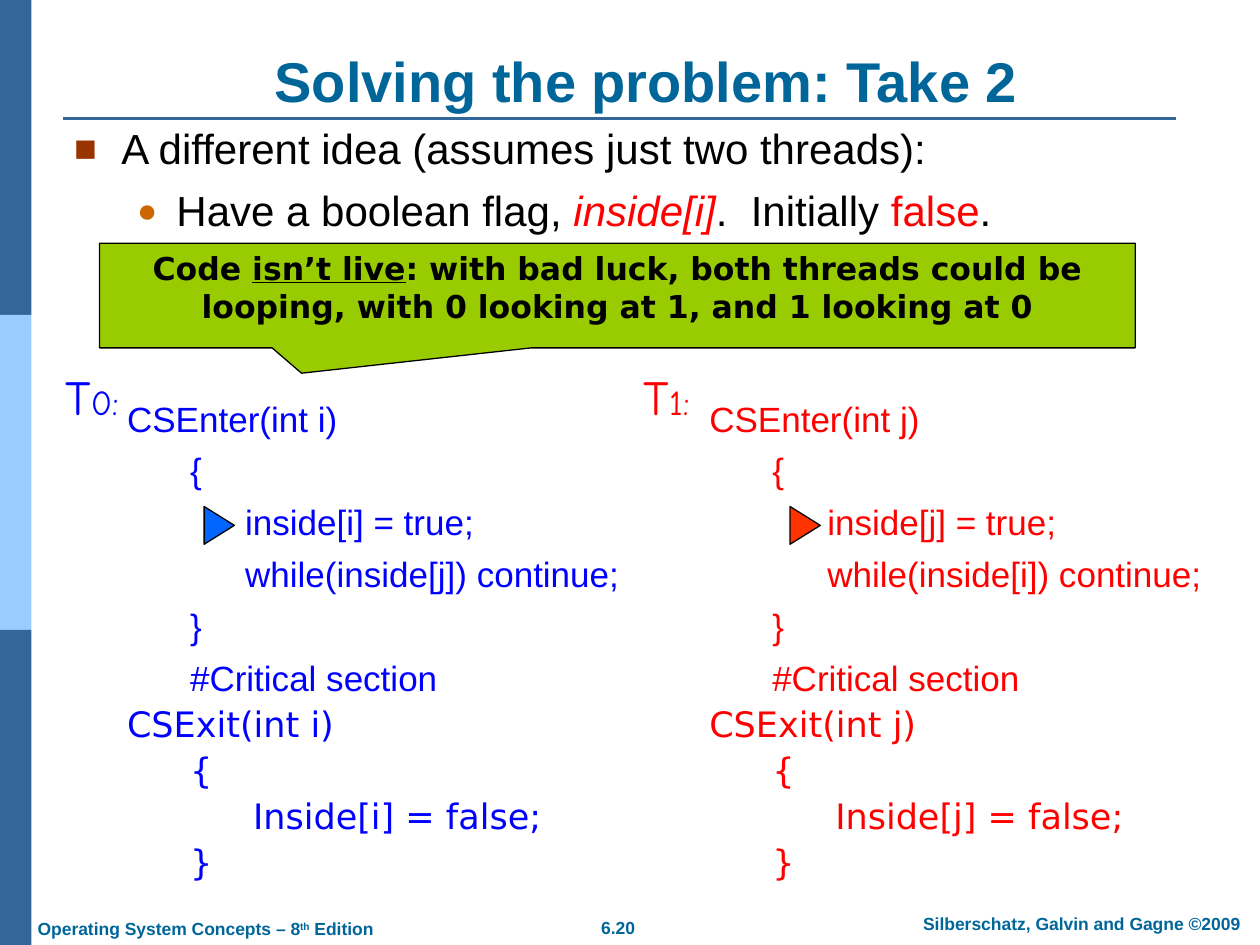
from lxml.etree import SubElement
from pptx import Presentation
from pptx.dml.color import RGBColor
from pptx.enum.shapes import MSO_CONNECTOR as CONN, MSO_SHAPE as SHAPE
from pptx.enum.text import MSO_ANCHOR as ANCHOR, PP_ALIGN as ALIGN
from pptx.oxml.ns import qn
from pptx.util import Pt

TEAL, NAVY, SKY = "006699", "336699", "99CCFF"
BLUE, RED, BLACK = "0000FF", "FF0000", "000000"
CENTER = ALIGN.CENTER


def rgb(value):
    return RGBColor.from_string(value)


class Deck:
    sans, code, hand = "Arial", "DejaVu Sans", "Comic Neue"

    def __init__(self, width, height):
        self.prs = Presentation()
        self.prs.slide_width, self.prs.slide_height = Pt(width), Pt(height)
        self.s = self.prs.slides.add_slide(self.prs.slide_layouts[6])

    def runs(self, p, parts, size, color, font=None, bold=False):
        """Each part is a text, or a text with the font settings that differ."""
        for part in parts:
            text, style = (part, {}) if isinstance(part, str) else part
            r = p.add_run()
            r.text = text
            f = r.font
            f.name, f.bold = font or self.sans, bold
            f.size = Pt(style.get("size", size))
            f.color.rgb = rgb(style.get("color", color))
            if style.get("italic"):
                f.italic = True
            if style.get("underline"):
                f.underline = True
            if style.get("raised"):
                r._r.get_or_add_rPr().set("baseline", "30000")

    def text(self, at, parts=(), size=10, color=TEAL, font=None, bold=False,
             align=ALIGN.LEFT, anchor=ANCHOR.TOP, wrap=True):
        tf = self.s.shapes.add_textbox(*map(Pt, at)).text_frame
        tf.word_wrap, tf.vertical_anchor = wrap, anchor
        tf.paragraphs[0].alignment = align
        self.runs(tf.paragraphs[0], parts, size, color, font, bold)
        return tf

    def paragraph(self, tf, i, level, left, before, indent=0, bullet=None):
        p = tf.add_paragraph() if i else tf.paragraphs[0]
        p.level, p.line_spacing = level, 0.9
        p.space_before = Pt(before if i else 0)
        pPr = p._p.get_or_add_pPr()
        pPr.set("marL", str(Pt(left)))
        pPr.set("indent", str(Pt(indent)))
        if bullet:
            char, color, percent = bullet
            SubElement(SubElement(pPr, qn("a:buClr")), qn("a:srgbClr"), val=color)
            SubElement(pPr, qn("a:buSzPct"), val=str(percent * 1000))
            SubElement(pPr, qn("a:buFont"), typeface=self.sans)
            SubElement(pPr, qn("a:buChar"), char=char)
        return p

    def shape(self, kind, at, fill, line=None, rotation=0):
        sp = self.s.shapes.add_shape(kind, *map(Pt, at))
        sp.shadow.inherit = False
        sp.rotation = rotation
        sp.fill.solid()
        sp.fill.fore_color.rgb = rgb(fill)
        if line:
            sp.line.color.rgb = rgb(line)
            sp.line.width = Pt(0.75)
        else:
            sp.line.fill.background()
        return sp

    def line(self, x1, y1, x2, y2, color, width):
        c = self.s.shapes.add_connector(CONN.STRAIGHT, *map(Pt, (x1, y1, x2, y2)))
        c.line.color.rgb = rgb(color)
        c.line.width = Pt(width)
        SubElement(c._element.spPr, qn("a:effectLst"))

    def listing(self, at, lines, color):
        tf = self.text(at)
        for i, (text, level, left, before, font) in enumerate(lines):
            p = self.paragraph(tf, i, level, left, before)
            self.runs(p, [text], 20, color, font)


def code_lines(own, other):
    enter = [(f"CSEnter(int {own})", 0, 0), ("{", 1, 36),
             (f"inside[{own}] = true;", 2, 67.5),
             (f"while(inside[{other}]) continue;", 2, 67.5),
             ("}", 1, 36), ("#Critical section", 1, 36)]
    leave = [(f"CSExit(int {own})", 0, 0), ("{", 1, 36),
             (f"Inside[{own}] = false;", 2, 72), ("}", 1, 36)]
    return ([(*row, 8, Deck.sans) for row in enter]
            + [(*row, 4.7, Deck.code) for row in leave])


def main():
    d = Deck(720, 540)

    # Side bar and title rule
    for i, color in enumerate((NAVY, SKY, NAVY)):
        d.shape(SHAPE.RECTANGLE, (0, 180 * i, 18, 180), color)
    d.line(36, 67.7, 672, 67.7, NAVY, 1.5)

    # Footer
    d.text((335.5, 520.5, 35.3, 19.4), ["6.20"], bold=True, align=CENTER, wrap=False)
    d.text((511.2, 518.4, 213.8, 19.4), ["Silberschatz, Galvin and Gagne ©2009"],
           bold=True, align=CENTER)
    d.text((14.4, 521.3, 207.4, 19.4),
           ["Operating System Concepts – 8", ("th", {"raised": True}), " Edition"],
           bold=True, wrap=False)

    # Title
    d.text((45.4, 23, 648, 45.4), ["Solving the problem: Take 2"], 32,
           bold=True, align=CENTER, anchor=ANCHOR.BOTTOM)

    # Idea bullets
    tf = d.text((35.3, 69.8, 635.8, 72))
    p = d.paragraph(tf, 0, 0, 27, 0, -27, ("■", "993300", 90))
    d.runs(p, ["A different idea (assumes just two threads):"], 24, BLACK)
    p = d.paragraph(tf, 1, 1, 58.5, 9.7, -22.5, ("●", "CC6600", 80))
    d.runs(p, ["Have a boolean flag, ", ("inside[i]", {"color": RED, "italic": True}),
               ".  Initially ", ("false", {"color": RED}), "."], 24, BLACK)

    # Callout
    sp = d.shape(SHAPE.RECTANGULAR_CALLOUT, (56.9, 139, 591.8, 59.8), "99CC00", BLACK)
    sp.adjustments[0], sp.adjustments[1] = -0.305, 0.742
    tf = sp.text_frame
    tf.word_wrap, tf.vertical_anchor = True, ANCHOR.TOP
    p = tf.paragraphs[0]
    p.alignment = CENTER
    d.runs(p, ["Code ", ("isn’t live", {"underline": True}),
               ": with bad luck, both threads could be looping, "
               "with 0 looking at 1, and 1 looking at 0"], 18, BLACK, d.code, True)

    # The two threads: name, code and current-line marker
    threads = [("0:", "i", "j", BLUE, "0066FF", 26.6, 51.8, 65.5, 114.5),
               ("1:", "j", "i", RED, "FF3300", 356.4, 49, 398.2, 449.3)]
    for number, own, other, color, fill, name_x, name_w, code_x, mark_x in threads:
        d.text((name_x, 205.6, name_w, 41), ["T", (number, {"size": 20})], 28, color,
               d.hand, align=CENTER, anchor=ANCHOR.MIDDLE, wrap=False)
        d.listing((code_x, 226.1, 329.8, 354.2), code_lines(own, other), color)
        d.shape(SHAPE.ISOSCELES_TRIANGLE, (mark_x, 291.6, 21.6, 17.3), fill, BLACK, 90)

    d.prs.save("out.pptx")


if __name__ == "__main__":
    main()
